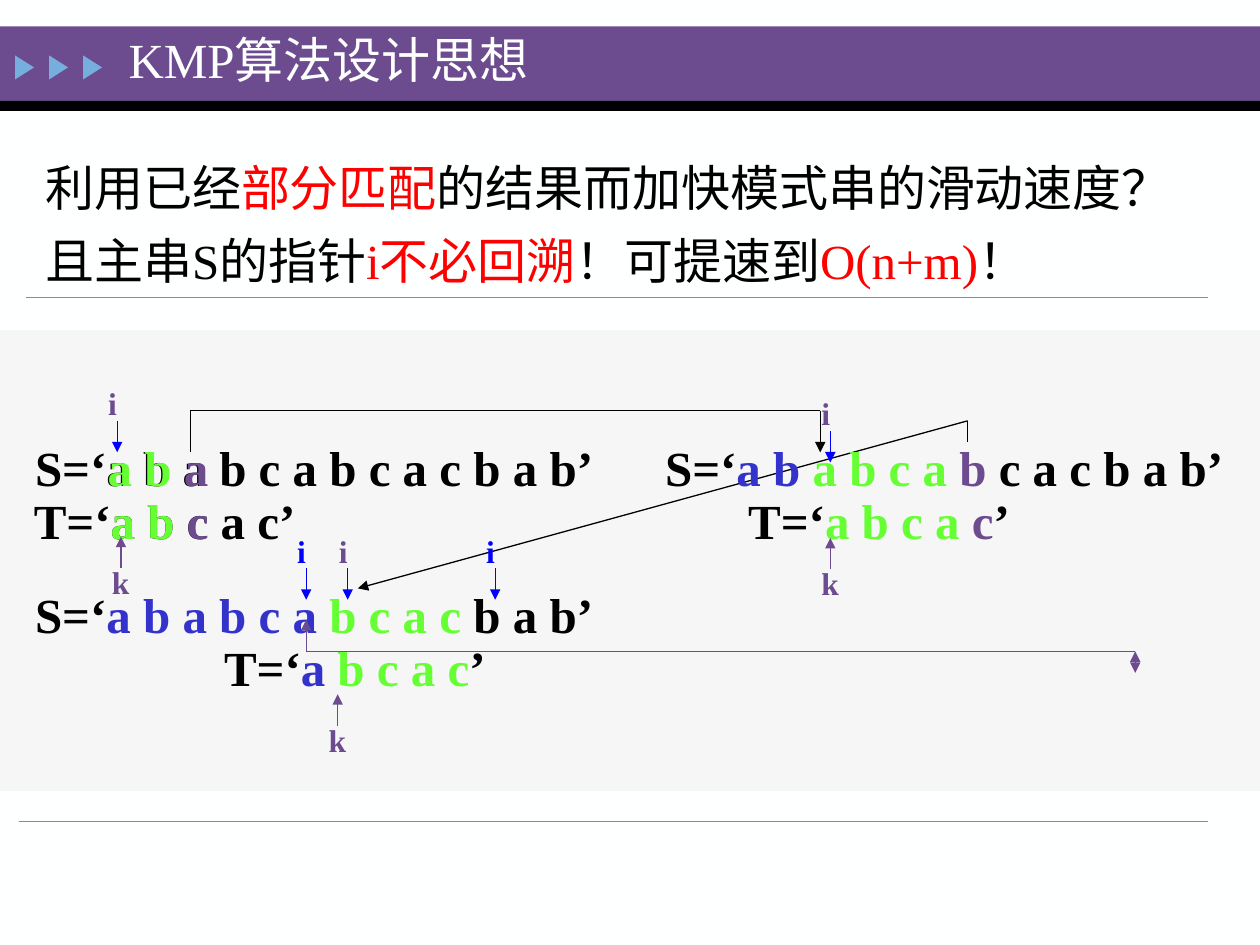
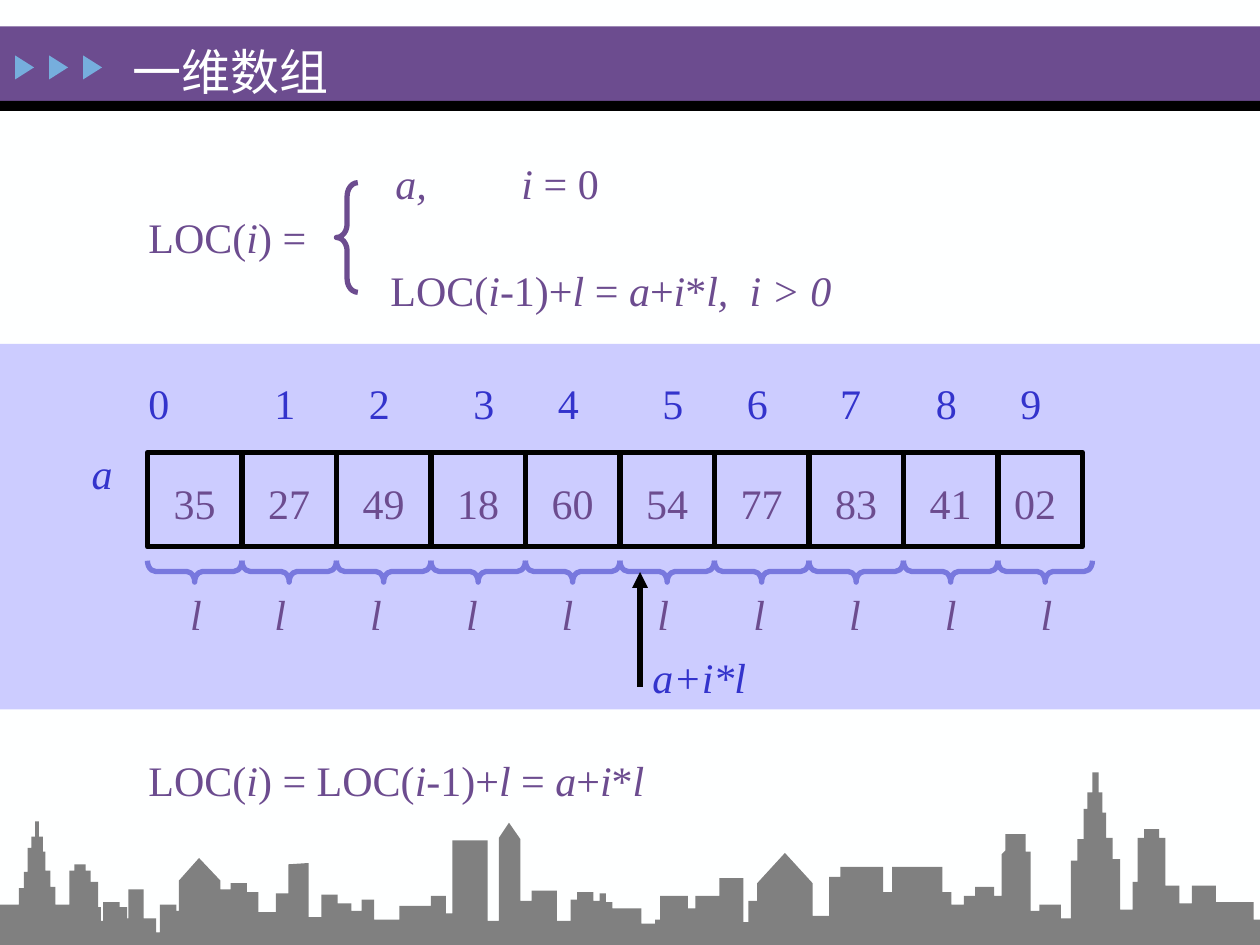
from dataclasses import dataclass
from typing import NamedTuple

from lxml import etree
from pptx import Presentation
from pptx import util as u
from pptx.dml.color import RGBColor
from pptx.enum import shapes, text
from pptx.oxml.ns import qn

PX = u.Inches(1) // 100  # every length below is in px, 100 to the inch


@dataclass(frozen=True)
class Theme:
    font: str = "Times New Roman"
    paper: str = "FEFFFF"
    purple: str = "6C4C8F"
    black: str = "000000"
    sky: str = "76AEDD"
    rule: str = "4F99E2"
    panel: str = "F6F6F6"
    lilac: str = "CCCCFF"
    brace: str = "7878DE"
    red: str = "FF0000"
    green: str = "66FF33"
    indigo: str = "3333CC"
    blue: str = "0000FF"
    skyline: str = "808080"
    large: int = 28
    medium: int = 24
    small: int = 18
    thin: float = 0.75
    thick: float = 3


T = Theme()


class Box(NamedTuple):
    left: int
    top: int
    width: int
    height: int

    def emu(self) -> list[int]:
        return [side * PX for side in self]


class Run(NamedTuple):
    text: str
    color: str = T.black
    italic: bool = False


class StringRow(NamedTuple):
    box: Box
    runs: list[Run]
    wraps: bool = False


class Pointer(NamedTuple):
    letter: str
    x: int
    tail_y: int
    color: str = T.purple


class Formula(NamedTuple):
    box: Box
    markup: str
    color: str = T.purple
    wraps: bool = True
    tabs: tuple[int, ...] = ()


def rgb(color: str) -> RGBColor:
    return RGBColor.from_string(color)


def write(paragraph, runs: list[Run], size: int, bold: bool = False) -> None:
    for part in runs:
        run = paragraph.add_run()
        run.text = part.text
        font = run.font
        font.name, font.size = T.font, u.Pt(size)
        font.bold, font.italic = bold, part.italic
        font.color.rgb = rgb(part.color)


def set_tabs(paragraph, stops: tuple[int, ...]) -> None:
    tab_list = etree.SubElement(paragraph._p.get_or_add_pPr(), qn("a:tabLst"))
    for stop in stops:
        etree.SubElement(tab_list, qn("a:tab"), pos=str(stop * PX), algn="l")


def add_label(slide, box: Box, runs: list[Run], size: int, bold: bool = False,
              wraps: bool = True, tabs: tuple[int, ...] = ()) -> None:
    frame = slide.shapes.add_textbox(*box.emu()).text_frame
    frame.word_wrap = wraps
    frame.auto_size = text.MSO_AUTO_SIZE.SHAPE_TO_FIT_TEXT
    write(frame.paragraphs[0], runs, size, bold)
    if tabs:
        set_tabs(frame.paragraphs[0], tabs)


def paint(shape, fill: str | None, line: str | None = None) -> None:
    shape.shadow.inherit = False
    if fill:
        shape.fill.solid()
        shape.fill.fore_color.rgb = rgb(fill)
    else:
        shape.fill.background()
    if line:
        shape.line.color.rgb = rgb(line)
        shape.line.width = u.Pt(T.thick)
    else:
        shape.line.fill.background()


def add_block(slide, box: Box, fill: str | None, line: str | None = None,
              kind=shapes.MSO_SHAPE.RECTANGLE, rotation: int = 0):
    shape = slide.shapes.add_shape(kind, *box.emu())
    shape.rotation = rotation
    paint(shape, fill, line)
    return shape


def add_brace(slide, box: Box, color: str, curve: float, rotation: int = 0) -> None:
    brace = add_block(slide, box, None, color, shapes.MSO_SHAPE.LEFT_BRACE, rotation)
    brace.adjustments[0] = curve


def add_path(slide, points: list[tuple[int, int]], color: str, width: float = T.thin,
             arrow: bool = False, arrow_at_start: bool = False) -> None:
    """Join the points with straight connectors, with optional arrowheads at the ends."""
    last = len(points) - 2
    for index, (start, end) in enumerate(zip(points, points[1:])):
        ends = [side * PX for side in (*start, *end)]
        line = slide.shapes.add_connector(shapes.MSO_CONNECTOR.STRAIGHT, *ends)
        line.line.color.rgb = rgb(color)
        line.line.width = u.Pt(width)
        stroke = line.line._get_or_add_ln()
        if arrow_at_start and index == 0:
            etree.SubElement(stroke, qn("a:headEnd"), type="triangle")
        if arrow and index == last:
            etree.SubElement(stroke, qn("a:tailEnd"), type="triangle")
        etree.SubElement(line._element.spPr, qn("a:effectLst"))


def decorate_master(prs, slide) -> None:
    """Draw the header band on a slide, then move it to the master."""
    master = prs.slide_master
    master.background.fill.solid()
    master.background.fill.fore_color.rgb = rgb(T.paper)
    header = [add_block(slide, Box(0, 21, 1000, 59), T.purple),
              add_block(slide, Box(0, 80, 1000, 8), T.black)]
    header += [add_block(slide, Box(10 + 27 * step, 46, 19, 15), T.sky,
                         kind=shapes.MSO_SHAPE.ISOSCELES_TRIANGLE, rotation=90)
               for step in range(3)]
    for number, part in enumerate(header, 20):
        part.element.nvSpPr.cNvPr.set("id", str(number))
        master.shapes.element.append(part.element)


def place(placeholder, box: Box):
    placeholder.left, placeholder.top, placeholder.width, placeholder.height = box.emu()
    placeholder.text_frame.auto_size = text.MSO_AUTO_SIZE.NONE
    return placeholder.text_frame


def set_title(slide, box: Box, title: str) -> None:
    frame = place(slide.shapes.title, box)
    frame.vertical_anchor = text.MSO_ANCHOR.MIDDLE
    frame.paragraphs[0].alignment = text.PP_ALIGN.LEFT
    write(frame.paragraphs[0], [Run(title, T.paper)], T.large)


def set_body(slide, box: Box, lines: list[list[Run]]) -> None:
    frame = place(slide.placeholders[1], box)
    for index, runs in enumerate(lines):
        paragraph = frame.add_paragraph() if index else frame.paragraphs[0]
        paragraph.line_spacing = 1.25
        paragraph.space_before = u.Pt(0)
        properties = paragraph._p.get_or_add_pPr()
        properties.set("marL", "0")
        properties.set("indent", "0")
        etree.SubElement(properties, qn("a:buNone"))
        write(paragraph, runs, T.large)


def add_pointer(slide, pointer: Pointer) -> None:
    """An i points down at the main string, a k points up at the pattern."""
    letter, x, tail_y, color = pointer
    down = letter == "i"
    label = Box(x - 17, tail_y - (34 if down else 9), 25 if down else 27, 40)
    add_label(slide, label, [Run(letter, color)], T.small, bold=True)
    head_y = tail_y + (25 if down else -25)
    add_path(slide, [(x, tail_y), (x, head_y)], T.blue if down else T.purple, arrow=True)


STRING_ROWS = [
    StringRow(Box(18, 342, 500, 57), [Run("S=‘a b a b c a b c a c b a b’")], True),
    StringRow(Box(17, 384, 236, 57), [Run("T=‘a b c a c’")]),
    StringRow(Box(518, 342, 471, 57), [
        Run("S=‘"), Run("a b ", T.indigo), Run("a b c a ", T.green),
        Run("b", T.purple), Run(" c a c b a b’")], True),
    StringRow(Box(584, 384, 236, 57), [
        Run("T=‘"), Run("a b c a ", T.green), Run("c", T.purple), Run("’")]),
    StringRow(Box(18, 459, 500, 57), [
        Run("S=‘"), Run("a b a b c a", T.indigo), Run(" b c a c", T.green),
        Run(" b a b’")], True),
    StringRow(Box(168, 501, 236, 57), [
        Run("T=‘"), Run("a", T.indigo), Run(" b c a c", T.green), Run("’")]),
    StringRow(Box(66, 342, 110, 57), [
        Run(" "), Run("a b ", T.green), Run("a", T.purple)]),
    StringRow(Box(78, 384, 98, 57), [Run("a b ", T.green), Run("c", T.purple)]),
]
POINTERS = [
    Pointer("i", 659, 342), Pointer("i", 93, 334), Pointer("i", 276, 451),
    Pointer("k", 268, 576), Pointer("k", 659, 452), Pointer("k", 96, 451),
    Pointer("i", 393, 451, T.blue), Pointer("i", 243, 451, T.blue),
]


def build_kmp(slide) -> None:
    set_title(slide, Box(92, 19, 701, 56), "KMP算法设计思想")
    set_body(slide, Box(26, 108, 933, 123), [
        [Run("利用已经"), Run("部分匹配", T.red), Run("的结果而加快模式串的滑动速度？")],
        [Run("且主串S的指针"), Run("i不必回溯", T.red), Run("！可提速到"),
         Run("O(n+m)", T.red), Run("！")],
    ])
    add_block(slide, Box(0, 262, 1000, 366), T.panel)
    add_path(slide, [(768, 351), (768, 334), (284, 467)], T.black, arrow=True)
    for row in STRING_ROWS:
        add_label(slide, row.box, row.runs, T.large, bold=True, wraps=row.wraps)
    for pointer in POINTERS:
        add_pointer(slide, pointer)
    add_path(slide, [(151, 359), (151, 326), (651, 326), (651, 359)], T.black, arrow=True)
    add_path(slide, [(901, 534), (901, 517)], T.purple, arrow=True, arrow_at_start=True)
    add_path(slide, [(901, 517), (243, 517), (243, 492)], T.purple, arrow=True)
    for left, y in [(21, 236), (15, 652)]:
        add_path(slide, [(left, y), (959, y)], T.rule)


CELL = 75
CELLS = 10
ARRAY = Box(117, 359, 742, 75)
VALUES = "35 27 49 18 60 54 77 83 41 02".split()
FORMULAS = [
    Formula(Box(128, 374, 730, 51), "\t".join(VALUES),
            tabs=(*range(CELL, CELL * 9, CELL), 667)),
    Formula(Box(108, 295, 750, 50), "\t".join(str(index) for index in range(CELLS)),
            T.indigo, tabs=(100, 175, 258, 325, 408, 475, 549, 625, 692)),
    Formula(Box(141, 462, 718, 51), "_" + "\t".join("l" * CELLS) + "_",
            tabs=tuple(67 + 76 * step for step in range(CELLS - 1))),
    Formula(Box(108, 594, 839, 51), "LOC(_i_) = LOC(_i_-1)+_l_ = _a_+_i_*_l_"),
    Formula(Box(108, 163, 157, 51), "LOC(_i_) ="),
    Formula(Box(300, 205, 575, 51), "LOC(_i_-1)+_l_ = _a_+_i_*_l,\ti > 0_", tabs=(285,)),
    Formula(Box(304, 120, 225, 51), "_a,\ti _= 0", wraps=False, tabs=(100,)),
    Formula(Box(508, 512, 95, 51), "_a+i*l_", T.indigo, False),
    Formula(Box(63, 350, 37, 51), "_a_", T.indigo, False),
]
# Roofs from left to right: at each x the outline steps to y, or slopes there directly.
SLOPES = {(158, 681), (175, 699), (245, 685), (404, 653), (413, 666),
          (623, 677), (645, 701), (798, 675)}
ROOFS = [
    (15, 705), (19, 692), (22, 673), (25, 664), (28, 652), (31, 664), (34, 676), (36, 691),
    (40, 704), (44, 718), (55, 691), (59, 686), (68, 691), (72, 700), (78, 720), (80, 731),
    (82, 716), (95, 720), (101, 729), (102, 706), (114, 729), (124, 740), (127, 718),
    (140, 723), (142, 699), (158, 681), (175, 699), (175, 706), (183, 701), (196, 708),
    (205, 724), (219, 709), (229, 686), (245, 685), (245, 728), (255, 710), (268, 717),
    (279, 723), (287, 714), (297, 730), (317, 719), (342, 711), (354, 725), (359, 667),
    (387, 731), (396, 665), (404, 653), (413, 666), (413, 715), (422, 707), (442, 731),
    (453, 714), (458, 708), (471, 715), (476, 709), (481, 716), (486, 721), (509, 733),
    (520, 730), (524, 711), (546, 721), (552, 711), (571, 697), (590, 732), (594, 715),
    (601, 701), (623, 677), (645, 701), (645, 727), (658, 696), (667, 688), (701, 708),
    (708, 688), (748, 708), (755, 718), (765, 711), (774, 704), (789, 711), (795, 678),
    (798, 675), (798, 662), (814, 676), (818, 723), (825, 718), (842, 729), (850, 683),
    (855, 666), (860, 642), (863, 629), (867, 613), (872, 629), (875, 645), (878, 665),
    (883, 682), (889, 722), (899, 700), (903, 665), (908, 658), (920, 665), (925, 703),
    (936, 717), (946, 703), (965, 716), (995, 730),
]


def formula_runs(markup: str, color: str) -> list[Run]:
    """Split the markup at underscores; every second piece is italic."""
    pieces = markup.split("_")
    return [Run(piece, color, index % 2 == 1) for index, piece in enumerate(pieces) if piece]


def add_skyline(slide) -> None:
    outline = [(0, 718)]
    for x, y in ROOFS:
        if (x, y) not in SLOPES:
            outline.append((x, outline[-1][1]))
        outline.append((x, y))
    outline += [(1000, outline[-1][1]), (1000, 750)]
    builder = slide.shapes.build_freeform(0, 750, scale=PX)
    builder.add_line_segments(outline, close=True)
    paint(builder.convert_to_shape(), T.skyline)


def build_array(slide) -> None:
    set_title(slide, Box(95, 28, 262, 56), "一维数组")
    add_block(slide, Box(0, 273, 1000, 290), T.lilac)
    add_block(slide, ARRAY, T.lilac, T.black)
    for step in range(CELLS):
        x = ARRAY.left + CELL * step
        if step:
            add_path(slide, [(x, ARRAY.top), (x, ARRAY.top + ARRAY.height)], T.black, T.thick)
        add_brace(slide, Box(x + 29, 416, 17, CELL), T.brace, 0.375, 270)
    add_brace(slide, Box(267, 145, 17, 87), T.purple, 0.625)
    for formula in FORMULAS:
        add_label(slide, formula.box, formula_runs(formula.markup, formula.color),
                  T.medium, wraps=formula.wraps, tabs=formula.tabs)
    add_path(slide, [(508, 545), (508, 454)], T.black, T.thick, arrow=True)
    add_skyline(slide)


def main() -> None:
    prs = Presentation()
    prs.slide_width, prs.slide_height = 1000 * PX, 750 * PX
    kmp = prs.slides.add_slide(prs.slide_layouts[1])
    decorate_master(prs, kmp)
    build_kmp(kmp)
    build_array(prs.slides.add_slide(prs.slide_layouts[5]))
    prs.save("out.pptx")


if __name__ == "__main__":
    main()
